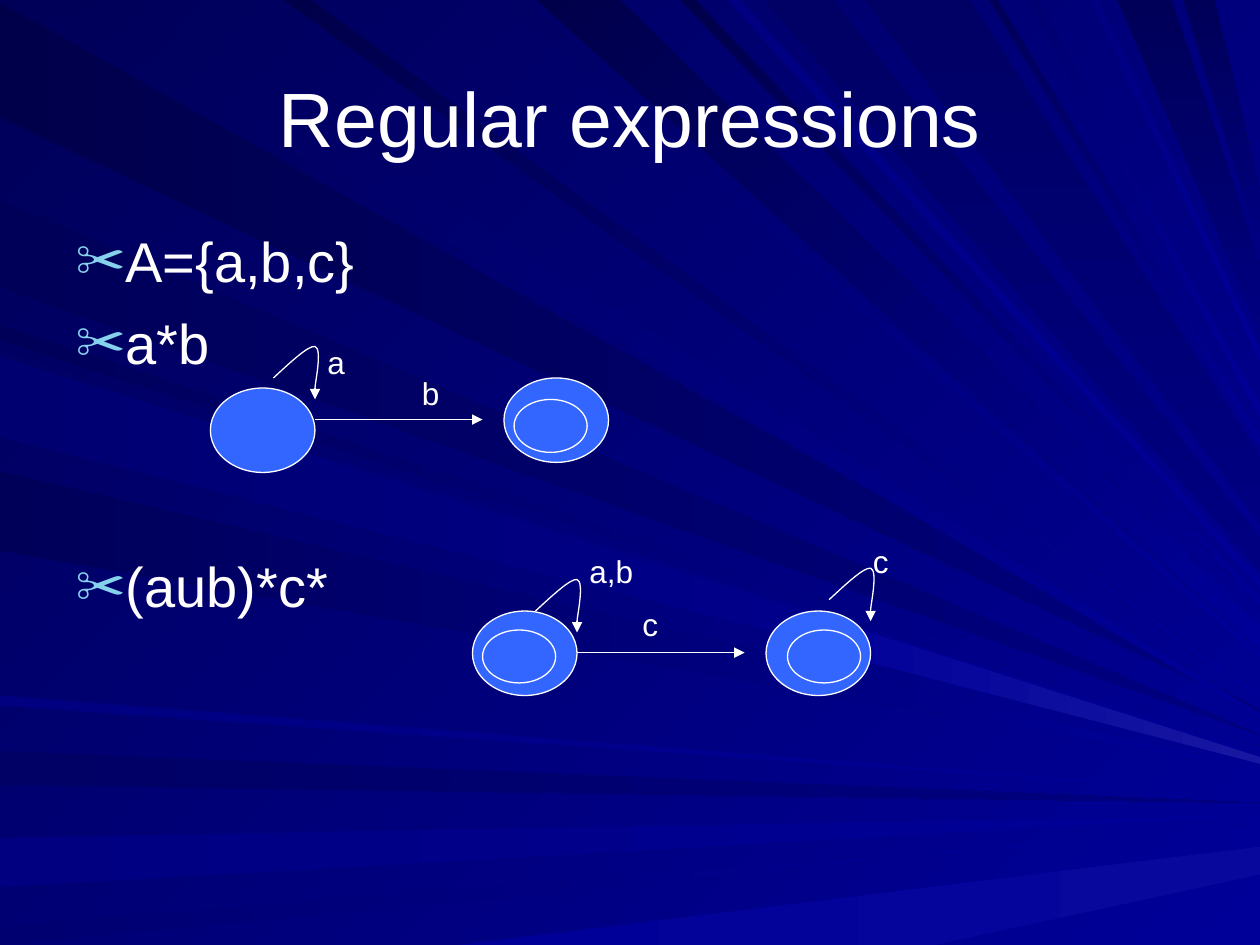
from math import sqrt
from lxml.etree import SubElement
from pptx import Presentation
from pptx.dml.color import RGBColor
from pptx.enum.shapes import MSO_CONNECTOR as Connector, MSO_SHAPE as Shape
from pptx.enum.text import MSO_ANCHOR as Anchor, MSO_AUTO_SIZE as AutoSize, PP_ALIGN as Align
from pptx.oxml.ns import qn
from pptx.util import Inches, Pt

COLORS = {
    "text": "FFFFFF", "line": "FFFFFF", "state": "3366FF", "bullet": "86D1EC",
    "black": "00004A", "night": "000058", "dusk": "000065", "deep": "000070",
    "navy": "000080", "blue": "000099", "glow": "1717A2", "haze": "08089C",
}

LEFT_RAYS = [
    (0.02, 0.93, "black", "navy"), (5.96, 6.23, "dusk", "navy"),
    (6.65, 7.04, "navy", "blue"), (7.35, 7.5, "deep", "blue"),
    (2.58, 2.7, "night", "blue"), (1.59, 2.28, "night", "navy"),
    (2.78, 3.42, "dusk", "blue"), (3.74, 4.37, "night", "blue"),
    (5.52, 5.6, "navy", "blue"), (2.83, 3.47, "deep", "blue"),
]
TOP_RAYS = [
    (0.26, 1.01, "night", "blue"), (3.98, 4.16, "dusk", "blue"),
    (4.26, 4.92, "black", "blue"), (5.4, 5.52, "black", "blue"),
    (6.06, 6.61, "dusk", "navy"), (8.87, 9.3, "night", "navy"),
    (9.39, 9.64, "night", "navy"), (2.25, 2.47, "black", "blue"),
    (5.77, 5.88, "navy", "blue"), (6.86, 7.7, "dusk", "navy"),
    (7.85, 7.92, "night", "blue"), (8.15, 8.24, "deep", "blue"),
    (8.65, 8.72, "navy", "blue"),
]
LOOP = [(0, 0.25), (0.14, 0.12), (0.28, -0.01), (0.33, 0), (0.39, 0.02), (0.33, 0.29), (0.33, 0.33)]


class SlideBuilder:
    font_name = "Arial"
    line_width = Pt(0.75)

    def __init__(self, deck):
        self.page = deck.slides.add_slide(deck.slide_layouts[1])
        self.shapes = self.page.shapes

    def color(self, name):
        return RGBColor.from_string(COLORS[name])

    def paint(self, fill, start, end, angle):
        if start == end:
            fill.solid()
            fill.fore_color.rgb = self.color(start)
            return
        fill.gradient()
        fill.gradient_angle = (360 - angle) % 360
        for stop, name in zip(fill.gradient_stops, (start, end)):
            stop.color.rgb = self.color(name)

    def outline(self, line):
        line.color.rgb = self.color("line")
        line.width = self.line_width

    def freeform(self, points, close):
        corners = [(Inches(x), Inches(y)) for x, y in points]
        builder = self.shapes.build_freeform(*corners[0])
        builder.add_line_segments(corners[1:], close=close)
        shape = builder.convert_to_shape()
        shape.shadow.inherit = False
        return shape

    def ray(self, points, start, end, angle):
        shape = self.freeform(points, close=True)
        self.paint(shape.fill, start, end, angle)
        shape.line.fill.background()

    def left_ray(self, top, bottom, start, end):
        tip = 5.58 + 0.13 * (top + bottom) / 2
        self.ray([(0, top), (0, bottom), (10, tip)], start, end, 0)

    def top_ray(self, left, right, start, end):
        tips = [(10, 5.7 * sqrt(1 - (x / 10) ** 2)) for x in (right, left)]
        self.ray([(left, 0), (right, 0), *tips], start, end, 90 if end == "navy" else 45)

    def style(self, para, size):
        para.font.name = self.font_name
        para.font.size = Pt(size)
        para.font.color.rgb = self.color("text")

    def holder(self, index, left, top, width, height):
        box = self.page.placeholders[index]
        self.shapes._spTree.append(box._element)
        box.left, box.top, box.width, box.height = map(Inches, (left, top, width, height))
        box.text_frame.auto_size = AutoSize.NONE
        return box.text_frame

    def title(self, text, *place):
        frame = self.holder(0, *place)
        frame.text = text
        frame.vertical_anchor = Anchor.MIDDLE
        frame.paragraphs[0].alignment = Align.CENTER
        self.style(frame.paragraphs[0], 44)

    def bullets(self, items, *place):
        frame = self.holder(1, *place)
        frame.text = "\n".join(text for text, gap in items)
        for para, (text, gap) in zip(frame.paragraphs, items):
            props = para._p.get_or_add_pPr()
            props.set("marL", str(Inches(0.38)))
            props.set("indent", str(-Inches(0.38)))
            para.space_before = Pt(gap)
            tint = SubElement(props, qn("a:buClr"))
            SubElement(tint, qn("a:srgbClr"), val=COLORS["bullet"])
            SubElement(props, qn("a:buSzPct"), val="90000")
            SubElement(props, qn("a:buChar"), char="✂")
            self.style(para, 32)

    def ellipse(self, left, top, width, height):
        shape = self.shapes.add_shape(Shape.OVAL, *map(Inches, (left, top, width, height)))
        shape.shadow.inherit = False
        self.paint(shape.fill, "state", "state", 0)
        self.outline(shape.line)

    def state(self, left, top, inner=None):
        self.ellipse(left, top, 0.83, 0.67)
        if inner:
            self.ellipse(left + inner[0], top + inner[1], 0.58, 0.42)

    def arrow(self, x1, y1, x2, y2):
        line = self.shapes.add_connector(Connector.STRAIGHT, *map(Inches, (x1, y1, x2, y2)))
        self.outline(line.line)
        SubElement(line.line._get_or_add_ln(), qn("a:tailEnd"), type="triangle")
        SubElement(line._element.spPr, qn("a:effectLst"))

    def loop(self, left, top):
        curve = self.freeform([(left + x, top + y) for x, y in LOOP], close=False)
        curve.fill.background()
        self.outline(curve.line)
        path = next(curve._element.iter(qn("a:path")))
        segments = path.findall(qn("a:lnTo"))
        for first in (0, 3):
            bend = SubElement(path, qn("a:cubicBezTo"))
            for segment in segments[first:first + 3]:
                bend.append(segment[0])
                path.remove(segment)
        self.arrow(left + 0.33, top + 0.33, left + 0.33, top + 0.42)

    def label(self, text, left, top, width=0.58):
        box = self.shapes.add_textbox(*map(Inches, (left, top, width, 0.4)))
        box.text_frame.word_wrap = True
        box.text_frame.text = text
        self.style(box.text_frame.paragraphs[0], 18)


def main():
    deck = Presentation()
    deck.slide_width, deck.slide_height = Inches(10), Inches(7.5)
    slide = SlideBuilder(deck)
    slide.paint(slide.page.background.fill, "night", "blue", 45)
    for ray in LEFT_RAYS:
        slide.left_ray(*ray)
    for ray in TOP_RAYS:
        slide.top_ray(*ray)
    slide.ray([(3.64, 7.5), (7.42, 7.5), (10, 6.94), (10, 6.72)], "blue", "haze", 0)
    slide.ray([(6.37, 4.85), (6.33, 5.11), (10, 6.06), (10, 6.01)], "blue", "glow", 0)

    slide.title("Regular expressions", 0.5, 0.3, 9, 1.25)
    items = [("A={a,b,c}", 0), ("a*b", 8), ("(aub)*c*", 101)]
    slide.bullets(items, 0.5, 1.75, 9, 4.95)

    slide.state(1.67, 3.08)
    slide.state(4, 3, inner=(0.08, 0.17))
    slide.state(3.75, 4.85, inner=(0.08, 0.15))
    slide.state(6.08, 4.85, inner=(0.17, 0.15))
    for left, top in [(2.17, 2.75), (4.25, 4.6), (6.58, 4.51)]:
        slide.loop(left, top)
    for left, top in [(2.5, 3.33), (4.58, 5.18)]:
        slide.arrow(left, top, left + 1.33, top)
    slide.label("a", 2.5, 2.67)
    slide.label("b", 3.25, 2.92, 0.33)
    slide.label("a,b", 4.58, 4.33)
    slide.label("c", 5, 4.75)
    slide.label("c", 6.83, 4.25)
    deck.save("out.pptx")


if __name__ == "__main__":
    main()
